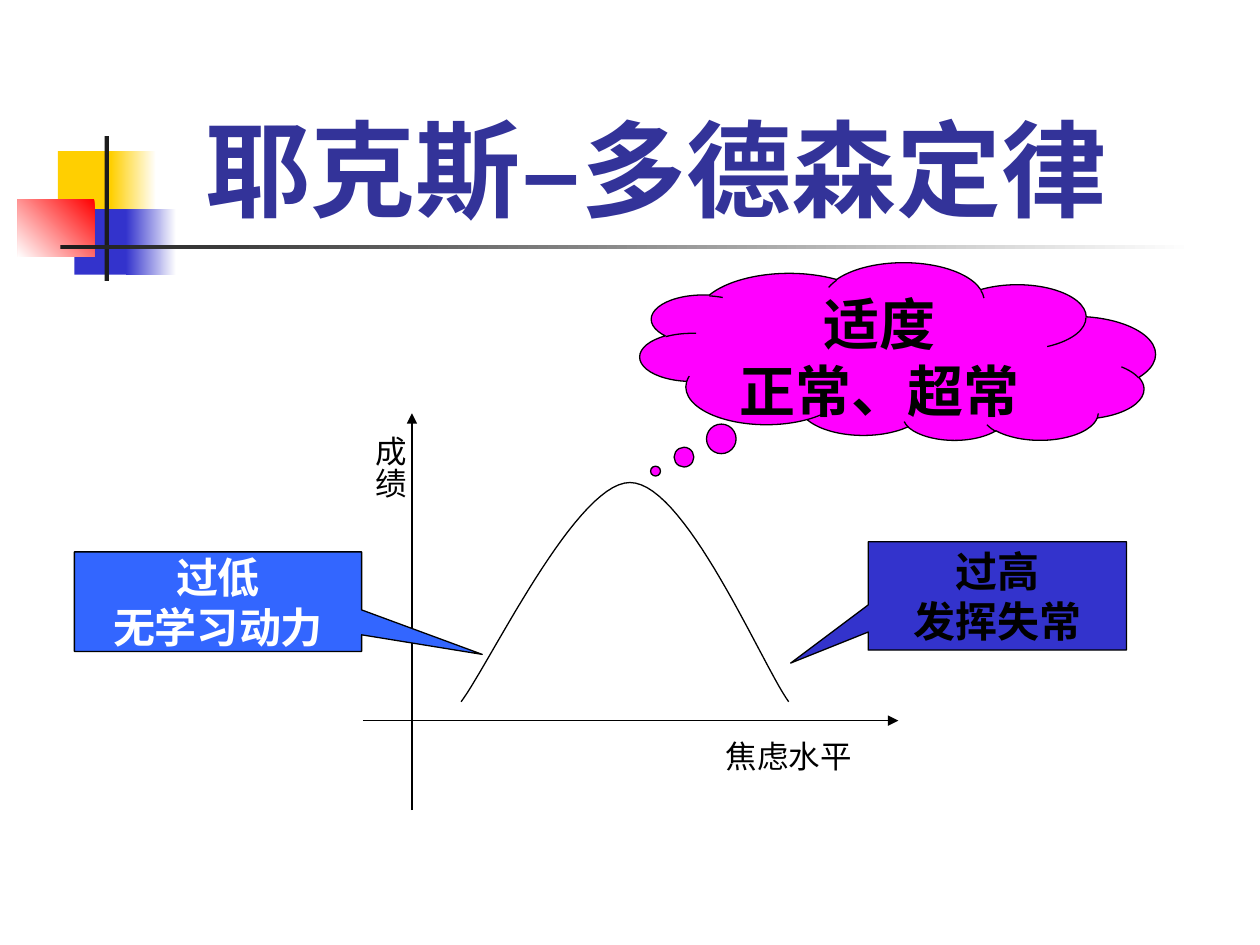
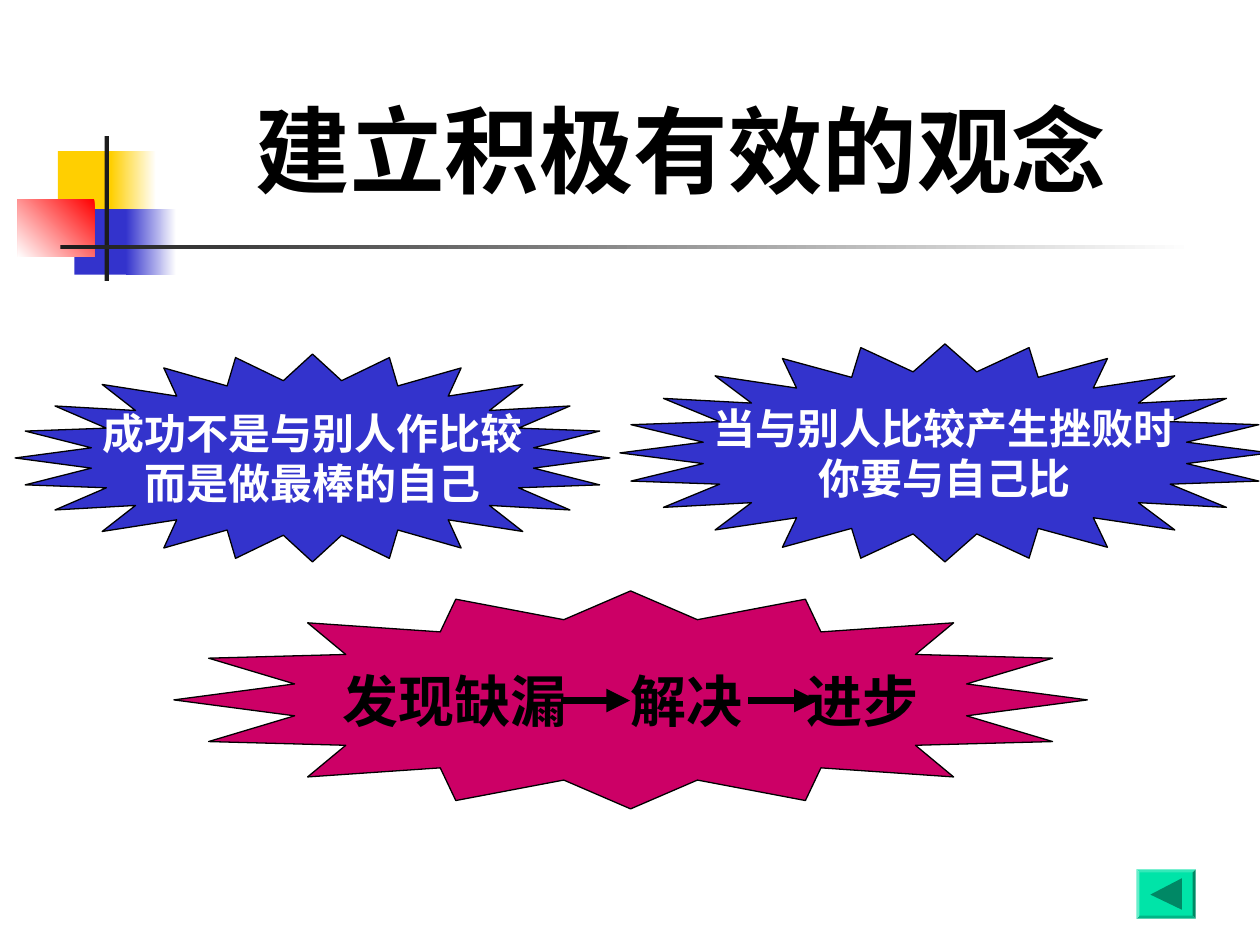
from dataclasses import dataclass, field
from typing import Any, NamedTuple, Optional

import lxml.etree
import pptx
import pptx.dml.color
import pptx.enum.shapes
import pptx.enum.text
import pptx.oxml.ns
import pptx.util

SLIDE_WIDTH = pptx.util.Inches(10)
SLIDE_HEIGHT = pptx.util.Inches(7.5)
COLUMNS, ROWS = 100, 75
CELL = SLIDE_WIDTH / COLUMNS

SHAPES = pptx.enum.shapes.MSO_SHAPE
ANCHORS = pptx.enum.text.MSO_ANCHOR
ALIGNMENTS = pptx.enum.text.PP_ALIGN

BLACK, WHITE, BLUE, YELLOW, RED = "000000", "FFFFFF", "3333CC", "FFCF01", "FF0000"
CHARCOAL, NAVY, SKY, MAGENTA, CRIMSON = "1C1C1C", "333399", "3366FF", "FF00FF", "CC0066"
MINT, DARK_MINT = "00E4A8", "008865"
BODY_FONT = "Cabin"
THIN, THICK = 0.75, 4.5
GAP_SPACING = 2930


class Box(NamedTuple):
    left: float
    top: float
    width: float
    height: float


class Point(NamedTuple):
    column: float
    row: float


class Block(NamedTuple):
    box: Box
    color: str
    fade_to: Optional[str] = None
    angle: float = 0


class Arrow(NamedTuple):
    start: Point
    end: Point
    weight: float


@dataclass
class Style:
    size: int
    color: str = BLACK
    bold: bool = True
    name: str = BODY_FONT
    alignment: Any = ALIGNMENTS.CENTER


@dataclass
class Panel:
    box: Box
    lines: list[list[str]]
    style: Style
    kind: Any = None
    fill: str = WHITE
    adjustments: tuple[float, ...] = ()
    flipped: bool = False
    frame: dict[str, Any] = field(default_factory=dict)
    body: dict[str, str] = field(default_factory=dict)


MASTER_BLOCKS = [
    Block(Box(4.6, 12, 4.8, 5.2), YELLOW),
    Block(Box(8.8, 12, 3.6, 5.2), YELLOW, WHITE),
    Block(Box(5.9, 16.6, 4.6, 5.2), BLUE),
    Block(Box(10, 16.6, 4, 5.2), BLUE, WHITE),
    Block(Box(1.4, 15.8, 6.1, 4.6), RED, WHITE, 225),
    Block(Box(8.3, 10.8, 0.35, 11.5), CHARCOAL),
    Block(Box(4.8, 19.45, 90, 0.35), CHARCOAL, WHITE),
]

SIDE_INSET, END_INSET = pptx.util.Inches(0.1), pptx.util.Inches(0.05)
INSETS = {"margin_left": SIDE_INSET, "margin_right": SIDE_INSET,
          "margin_top": END_INSET, "margin_bottom": END_INSET}
UPRIGHT_INSETS = {"margin_left": END_INSET, "margin_right": END_INSET,
                  "margin_top": SIDE_INSET, "margin_bottom": SIDE_INSET}
WRAPPED = {"word_wrap": True, "vertical_anchor": ANCHORS.TOP}
CENTERED = {"word_wrap": False, "vertical_anchor": ANCHORS.MIDDLE}

AXIS_LABEL = Style(18, bold=False, alignment=ALIGNMENTS.LEFT)

AXES = [
    Arrow(Point(28.8, 57.2), Point(71.3, 57.2), THIN),
    Arrow(Point(32.7, 64.3), Point(32.7, 32.8), THIN),
]
CURVE = [
    (Point(36.6, 55.7), Point(38.8, 52.8), Point(45.7, 38.3), Point(50, 38.3)),
    (Point(50, 38.3), Point(54.4, 38.3), Point(60.5, 52.8), Point(62.6, 55.7)),
]
CURVE_STEPS = 30

LAW_PANELS = [
    Panel(Box(15.3, 2.8, 79.5, 16), [["耶克斯—多德森定律"]],
          Style(60, NAVY, alignment=ALIGNMENTS.LEFT),
          frame={"vertical_anchor": ANCHORS.BOTTOM}),
    Panel(Box(28, 33.6, 5, 8.3), [["成绩"]], AXIS_LABEL,
          frame=UPRIGHT_INSETS, body={"vert": "eaVert"}),
    Panel(Box(56.6, 58, 13.1, 4), [["焦虑水平"]], AXIS_LABEL),
    Panel(Box(5.9, 43.8, 22.8, 7.9), [["过低"], ["无学习动力"]], Style(24, WHITE),
          SHAPES.RECTANGULAR_CALLOUT, SKY, (0.92, 0.53)),
    Panel(Box(68.9, 43, 20.5, 8.6), [["过高"], ["发挥失常"]], Style(24),
          SHAPES.RECTANGULAR_CALLOUT, BLUE, (-0.8, 0.62)),
    Panel(Box(50.8, 20.9, 40.9, 14.1), [["适度"], ["正常、超常"]], Style(32),
          SHAPES.CLOUD_CALLOUT, MAGENTA, (-0.47, -0.67), flipped=True),
]

BELIEF_PANELS = [
    Panel(Box(19.3, 6.8, 74.8, 10), [["建立积极有效的观念"]],
          Style(54, name="Noto Sans CJK JP", alignment=ALIGNMENTS.LEFT)),
    Panel(Box(1.2, 28.1, 47.2, 16.5), [["成功不是与别人作比较"], ["而是做最棒的自己"]],
          Style(24, WHITE), SHAPES.STAR_24_POINT, BLUE, (0.375,)),
    Panel(Box(49.2, 27.3, 51.6, 17.3), [["当与别人比较产生挫败时"], ["你要与自己比"]],
          Style(24, WHITE), SHAPES.STAR_24_POINT, BLUE, (0.375,)),
    Panel(Box(13.8, 46.9, 72.5, 17.3), [["发现缺漏", "解决", "进步"]],
          Style(32), SHAPES.STAR_16_POINT, CRIMSON, (0.375,)),
]
STEP_ARROWS = [Arrow(Point(left, 55.6), Point(left + 5.5, 55.6), THICK)
               for left in (44.5, 59.4)]
BACK_BUTTON = Box(90.2, 69, 4.7, 3.9)
BACK_TRIANGLE = [Point(91.3, 71), Point(93.8, 69.7), Point(93.8, 72.2)]


def rgb(value: str) -> pptx.dml.color.RGBColor:
    return pptx.dml.color.RGBColor.from_string(value)


def cells(*counts: float) -> list[int]:
    return [round(count * CELL) for count in counts]


def apply(target: Any, values: dict[str, Any]) -> None:
    for name, value in values.items():
        setattr(target, name, value)


def paint(shape: Any, fill: Optional[str], outline: Optional[str] = None) -> None:
    shape.shadow.inherit = False
    if fill:
        shape.fill.solid()
        shape.fill.fore_color.rgb = rgb(fill)
    else:
        shape.fill.background()
    if outline:
        shape.line.color.rgb = rgb(outline)
        shape.line.width = pptx.util.Pt(THIN)
    else:
        shape.line.fill.background()


def draw_block(slide: Any, block: Block) -> None:
    shape = slide.shapes.add_shape(SHAPES.RECTANGLE, *cells(*block.box))
    paint(shape, block.color)
    if block.fade_to:
        shape.fill.gradient()
        shape.fill.gradient_angle = block.angle
        for stop, color in zip(shape.fill.gradient_stops, (block.color, block.fade_to)):
            stop.color.rgb = rgb(color)


def draw_arrow(slide: Any, arrow: Arrow) -> None:
    connector = slide.shapes.add_connector(
        pptx.enum.shapes.MSO_CONNECTOR.STRAIGHT, *cells(*arrow.start, *arrow.end))
    connector.line.color.rgb = rgb(BLACK)
    connector.line.width = pptx.util.Pt(arrow.weight)
    line = connector.line._get_or_add_ln()
    lxml.etree.SubElement(line, pptx.oxml.ns.qn("a:tailEnd"), type="triangle")
    lxml.etree.SubElement(connector._element.spPr, pptx.oxml.ns.qn("a:effectLst"))


def draw_outline(slide: Any, points: list[Point], closed: bool) -> Any:
    start, *others = [cells(*point) for point in points]
    builder = slide.shapes.build_freeform(*start)
    builder.add_line_segments(others, close=closed)
    return builder.convert_to_shape()


def curve_point(controls: tuple[Point, ...], share: float) -> Point:
    rest = 1 - share
    weights = (rest ** 3, 3 * rest ** 2 * share, 3 * rest * share ** 2, share ** 3)
    return Point(*(sum(weight * value for weight, value in zip(weights, values))
                   for values in zip(*controls)))


def add_run(paragraph: Any, text: str, style: Style) -> Any:
    run = paragraph.add_run()
    run.text = text
    apply(run.font, {"size": pptx.util.Pt(style.size), "bold": style.bold,
                     "name": style.name})
    run.font.color.rgb = rgb(style.color)
    properties = run.font._element
    lxml.etree.SubElement(properties, pptx.oxml.ns.qn("a:ea"), typeface=BODY_FONT)
    return properties


def write_lines(text_frame: Any, panel: Panel) -> None:
    for index, parts in enumerate(panel.lines):
        paragraph = text_frame.add_paragraph() if index else text_frame.paragraphs[0]
        paragraph.alignment = panel.style.alignment
        for position, part in enumerate(parts):
            if position:
                add_run(paragraph, " ", panel.style).set("spc", str(GAP_SPACING))
            add_run(paragraph, part, panel.style)


def draw_panel(slide: Any, panel: Panel) -> None:
    area = cells(*panel.box)
    if panel.kind is None:
        shape = slide.shapes.add_textbox(*area)
    else:
        shape = slide.shapes.add_shape(panel.kind, *area)
        paint(shape, panel.fill, BLACK)
        for index, value in enumerate(panel.adjustments):
            shape.adjustments[index] = value
    layout = WRAPPED if panel.kind is None else CENTERED
    apply(shape.text_frame, {**INSETS, **layout, **panel.frame})
    body = dict(panel.body)
    if panel.flipped:
        shape._element.spPr.xfrm.set("flipV", "1")
        body["rot"] = "10800000"
    for name, value in body.items():
        shape.text_frame._txBody.bodyPr.set(name, value)
    write_lines(shape.text_frame, panel)


def draw_back_button(slide: Any) -> None:
    button = slide.shapes.add_shape(SHAPES.BEVEL, *cells(*BACK_BUTTON))
    button.adjustments[0] = 0.06
    paint(button, MINT)
    paint(draw_outline(slide, BACK_TRIANGLE, True), DARK_MINT)


def add_slide(presentation: Any) -> Any:
    slide = presentation.slides.add_slide(presentation.slide_layouts[6])
    for block in MASTER_BLOCKS:
        draw_block(slide, block)
    return slide


def build_law_slide(presentation: Any) -> None:
    slide = add_slide(presentation)
    for axis in AXES:
        draw_arrow(slide, axis)
    points = [curve_point(controls, step / CURVE_STEPS)
              for controls in CURVE for step in range(CURVE_STEPS + 1)]
    paint(draw_outline(slide, points, False), None, BLACK)
    for panel in LAW_PANELS:
        draw_panel(slide, panel)


def build_belief_slide(presentation: Any) -> None:
    slide = add_slide(presentation)
    for panel in BELIEF_PANELS:
        draw_panel(slide, panel)
    for arrow in STEP_ARROWS:
        draw_arrow(slide, arrow)
    draw_back_button(slide)


def main() -> None:
    presentation = pptx.Presentation()
    apply(presentation, {"slide_width": SLIDE_WIDTH, "slide_height": SLIDE_HEIGHT})
    build_law_slide(presentation)
    build_belief_slide(presentation)
    presentation.save("out.pptx")


if __name__ == "__main__":
    main()
